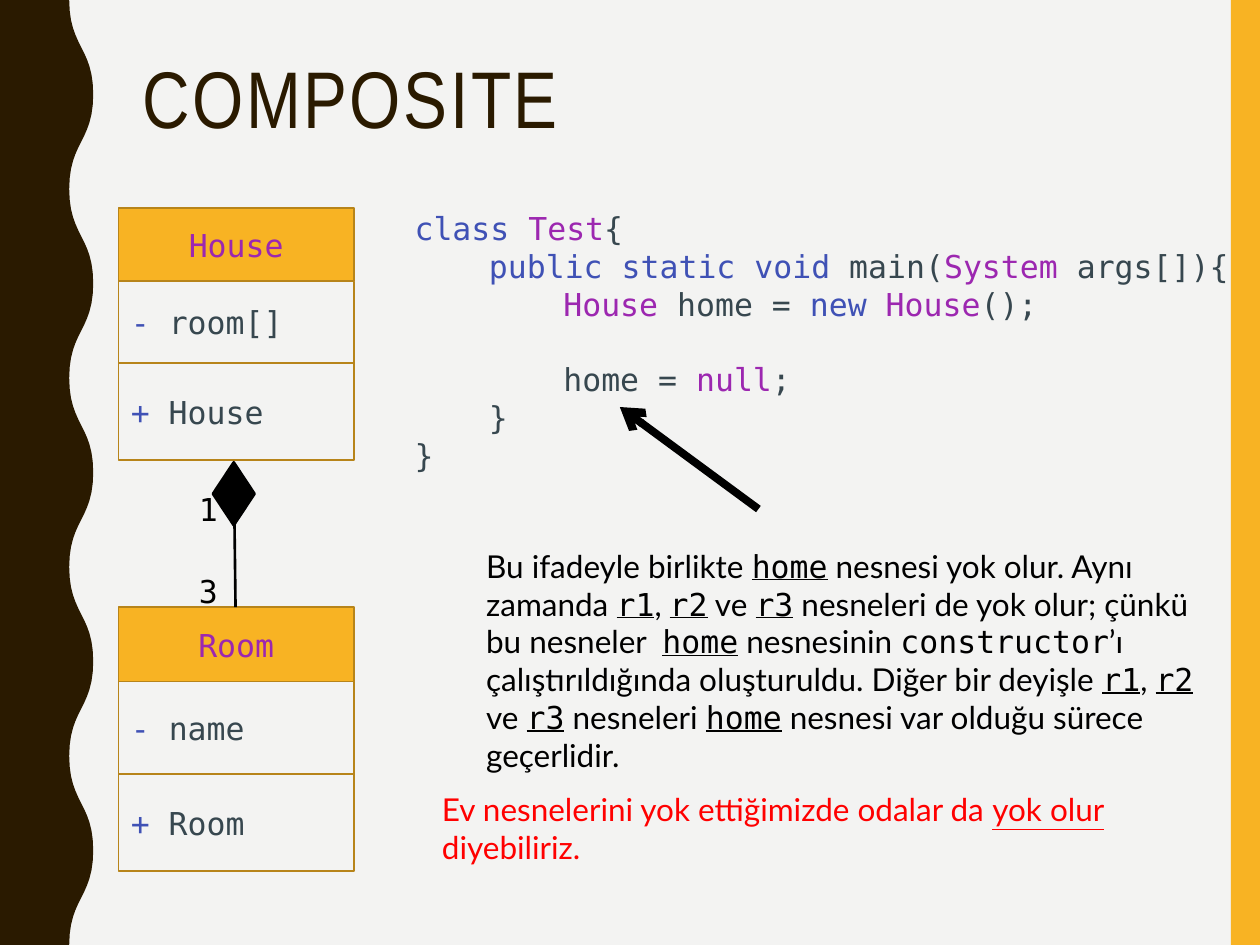
from dataclasses import dataclass

from lxml import etree
from pptx import Presentation
from pptx import util as u
from pptx.dml.color import RGBColor
from pptx.enum import shapes, text
from pptx.oxml import ns

Pt = u.Pt


@dataclass(frozen=True)
class Theme:
    paper: str = "F3F3F2"
    gold: str = "F8B323"
    edge: str = "B7841A"
    brown: str = "2A1A00"
    black: str = "000000"
    red: str = "FF0000"
    key: str = "3F51B5"
    kind: str = "9C27B0"
    plain: str = "37474F"
    head: str = "Arial Narrow"
    mono: str = "DejaVu Sans Mono"
    prose: str = "Lato"
    big: float = 45.9
    body: float = 18


T = Theme()
K, C, P = T.key, T.kind, T.plain
LEFT, WIDE = 67.7, 134.6

CODE = [
    [("class ", K), ("Test", C), ("{", P)],
    [("\t", P), ("public static void", K), (" main(", P), ("System", C), (" args[]){", P)],
    [("\t\t", P), ("House ", C), ("home = ", P), ("new ", K), ("House", C), ("();", P)],
    [("\t\thome = ", P), ("null", C), (";", P)],
    [("\t}", P)],
    [("}", P)],
]

NOTE = (
    "Bu ifadeyle birlikte |home| nesnesi yok olur. Aynı zamanda |r1|, |r2| ve |r3"
    "| nesneleri de yok olur; çünkü bu nesneler  |home| nesnesinin |constructor"
    "|’ı çalıştırıldığında oluşturuldu. Diğer bir deyişle |r1|, |r2| ve |r3"
    "| nesneleri |home| nesnesi var olduğu sürece geçerlidir."
)


def rgb(code):
    return RGBColor.from_string(code)


def add_run(para, words, color):
    run = para.add_run()
    run.text = words
    run.font.color.rgb = rgb(color)
    return run


def set_font(para, name=T.mono, size=T.body):
    para.font.name = name
    para.font.size = Pt(size)


def add_text(slide, x, y, w, h):
    frame = slide.shapes.add_textbox(Pt(x), Pt(y), Pt(w), Pt(h)).text_frame
    frame.word_wrap = True
    return frame


def paint(shape, fill=None, edge=None, width=1):
    shape.shadow.inherit = False
    if fill:
        shape.fill.solid()
        shape.fill.fore_color.rgb = rgb(fill)
    else:
        shape.fill.background()
    if edge:
        shape.line.color.rgb = rgb(edge)
        shape.line.width = Pt(width)
    else:
        shape.line.fill.background()


def add_box(slide, x, y, w, h, kind=shapes.MSO_SHAPE.RECTANGLE, **look):
    box = slide.shapes.add_shape(kind, Pt(x), Pt(y), Pt(w), Pt(h))
    paint(box, **look)
    return box


def add_line(slide, start, end, width, arrow=False):
    ends = [Pt(v) for v in (*start, *end)]
    line = slide.shapes.add_connector(shapes.MSO_CONNECTOR.STRAIGHT, *ends)
    line.line.color.rgb = rgb(T.black)
    line.line.width = Pt(width)
    if arrow:
        tail = etree.SubElement(line.line._get_or_add_ln(), ns.qn("a:tailEnd"))
        tail.set("type", "arrow")
    etree.SubElement(line._element.spPr, ns.qn("a:effectLst"))


def add_wave(slide, near=39.6, far=53.3, half=54, count=10, steps=12):
    points = []
    for part in range(count):
        a, b = (near, far) if part % 2 == 0 else (far, near)
        for step in range(1, steps + 1):
            t = step / steps
            x = a + (b - a) * (3 * t**2 - 2 * t**3)
            y = half * (part + 1.5 * t - 1.5 * t**2 + t**3)
            points.append((Pt(x), Pt(y)))
    form = slide.shapes.build_freeform(0, 0)
    form.add_line_segments([(Pt(near), 0), *points, (0, Pt(half * count))])
    paint(form.convert_to_shape(), T.brown)


def add_title(slide, words):
    title = slide.shapes.title
    title.left, title.top, title.width, title.height = map(Pt, (74.2, 30.2, 601.2, 46.8))
    frame = title.text_frame
    frame.auto_size = text.MSO_AUTO_SIZE.NONE
    frame.vertical_anchor = text.MSO_ANCHOR.TOP
    para = frame.paragraphs[0]
    para.alignment = text.PP_ALIGN.LEFT
    para.line_spacing = 0.9
    set_font(para, T.head, T.big)
    run = add_run(para, words, T.brown)
    run.font._element.set("spc", "150")


def add_class(slide, top, name, field, sizes):
    rows = [[(name, C)], [("- ", K), (field, P)], [("+", K), (" " + name, P)]]
    for row, (runs, high) in enumerate(zip(rows, sizes)):
        fill = T.gold if row == 0 else None
        box = add_box(slide, LEFT, top, WIDE, high, fill=fill, edge=T.edge)
        frame = box.text_frame
        frame.vertical_anchor = text.MSO_ANCHOR.MIDDLE
        para = frame.paragraphs[0]
        para.alignment = text.PP_ALIGN.LEFT if row else text.PP_ALIGN.CENTER
        set_font(para)
        for words, color in runs:
            add_run(para, words, color)
        top += high


def add_code(slide, lines, pitch=21.6, tab=42.5):
    frame = add_text(slide, 236.9, 118.8, 490.3, 152.6)
    frame.margin_left = frame.margin_right = 0
    frame.margin_top = frame.margin_bottom = 0
    frame.vertical_anchor = text.MSO_ANCHOR.MIDDLE
    for row, runs in enumerate(lines):
        para = frame.add_paragraph() if row else frame.paragraphs[0]
        para.line_spacing = Pt(pitch)
        if row == 3:
            para.space_before = Pt(pitch)
        stops = etree.SubElement(para._p.get_or_add_pPr(), ns.qn("a:tabLst"))
        for stop in (1, 2):
            etree.SubElement(stops, ns.qn("a:tab"), pos=str(Pt(tab * stop)), algn="l")
        set_font(para)
        for words, color in runs:
            add_run(para, words, color)


def add_note(slide):
    para = add_text(slide, 270.7, 308.9, 423.4, 116.6).paragraphs[0]
    para.font.size = Pt(T.body)
    for spot, words in enumerate(NOTE.split("|")):
        run = add_run(para, words, T.black)
        run.font.name = T.mono if spot % 2 else T.prose
        if spot % 2 and words != "constructor":
            run.font.underline = True


def add_moral(slide):
    para = add_text(slide, 245.5, 447.8, 449.3, 28.8).paragraphs[0]
    set_font(para, T.prose)
    add_run(para, "Ev nesnelerini yok ettiğimizde odalar da ", T.red)
    add_run(para, "yok olur", T.red).font.underline = True
    add_run(para, " diyebiliriz.", T.red)


def add_link(slide):
    add_line(slide, (133.9, 289.4), (134.6, 347), 1.5)
    add_box(slide, 121.7, 264.2, 23.8, 36, shapes.MSO_SHAPE.DIAMOND,
            fill=T.black, edge=T.black, width=1.5)
    for count, top in (("1", 276.5), ("3", 323.3)):
        para = add_text(slide, 106.6, top, 31, 28.8).paragraphs[0]
        set_font(para)
        add_run(para, count, T.black)


def main():
    deck = Presentation()
    deck.slide_width, deck.slide_height = Pt(720), Pt(540)
    slide = deck.slides.add_slide(deck.slide_layouts[5])
    slide.background.fill.solid()
    slide.background.fill.fore_color.rgb = rgb(T.paper)
    add_box(slide, 703.4, 0, 16.6, 540, fill=T.gold)
    add_wave(slide)
    add_title(slide, "COMPOSITE")
    add_code(slide, CODE)
    add_note(slide)
    add_line(slide, (433.4, 290.9), (354.2, 232.6), 4.5, arrow=True)
    add_class(slide, 118.8, "House", "room[]", (42, 46.8, 55.4))
    add_class(slide, 347, "Room", "name", (42.5, 52.9, 55.4))
    add_link(slide)
    add_moral(slide)
    deck.save("out.pptx")


main()
